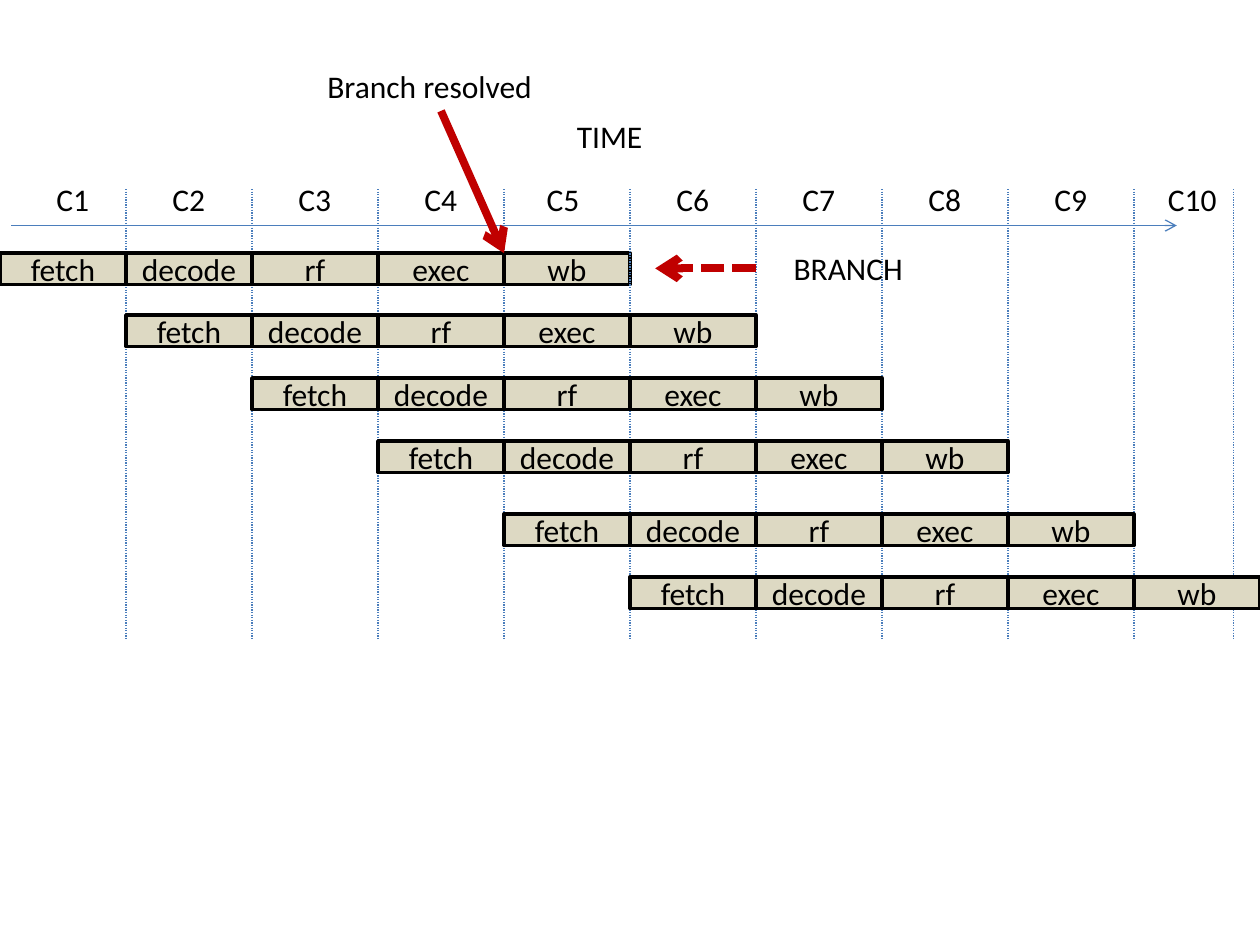
from dataclasses import dataclass

from pptx import Presentation
from pptx.dml.color import RGBColor
from pptx.enum.dml import MSO_LINE
from pptx.enum.shapes import MSO_CONNECTOR, MSO_SHAPE
from pptx.enum.text import MSO_ANCHOR, MSO_AUTO_SIZE, PP_ALIGN
from pptx.oxml.ns import qn
from pptx.util import Inches, Pt
from lxml.etree import SubElement


@dataclass(frozen=True)
class Theme:
    font: str = "Calibri"
    text_size: float = 18
    ink: str = "000000"
    stage_fill: str = "DDD9C3"
    guide: str = "4B7EBC"
    accent: str = "C00000"
    thin: float = 0.75
    border: float = 2
    thick: float = 4.5


class PipelineSlide:
    def __init__(self, slide, theme):
        self.slide = slide
        self.theme = theme

    def set_words(self, frame, words):
        frame.text = words
        font = frame.paragraphs[0].runs[0].font
        font.name = self.theme.font
        font.size = Pt(self.theme.text_size)
        font.color.rgb = RGBColor.from_string(self.theme.ink)

    def label(self, words, left, top, width, height=0.4):
        box = self.slide.shapes.add_textbox(
            Inches(left), Inches(top), Inches(width), Inches(height))
        self.set_words(box.text_frame, words)
        box.text_frame.word_wrap = False
        box.text_frame.auto_size = MSO_AUTO_SIZE.SHAPE_TO_FIT_TEXT

    def stage(self, words, left, top, width=1, height=0.25):
        cell = self.slide.shapes.add_shape(
            MSO_SHAPE.RECTANGLE,
            Inches(left), Inches(top), Inches(width), Inches(height))
        cell.shadow.inherit = False
        cell.fill.solid()
        cell.fill.fore_color.rgb = RGBColor.from_string(self.theme.stage_fill)
        cell.line.color.rgb = RGBColor.from_string(self.theme.ink)
        cell.line.width = Pt(self.theme.border)
        self.set_words(cell.text_frame, words)
        cell.text_frame.vertical_anchor = MSO_ANCHOR.MIDDLE
        cell.text_frame.paragraphs[0].alignment = PP_ALIGN.CENTER

    def instruction(self, first_cycle, top):
        for offset, name in enumerate(STAGES):
            self.stage(name, first_cycle + offset, top)

    def line(self, start, end, color, weight, dash=None, arrow=False):
        connector = self.slide.shapes.add_connector(
            MSO_CONNECTOR.STRAIGHT, *map(Inches, start + end))
        connector.line.color.rgb = RGBColor.from_string(color)
        connector.line.width = Pt(weight)
        if dash:
            connector.line.dash_style = dash
        properties = connector._element.spPr
        if arrow:
            SubElement(properties.find(qn("a:ln")), qn("a:tailEnd"), type="arrow")
        SubElement(properties, qn("a:effectLst"))

    def cycle_guide(self, x):
        self.line((x, 1.5), (x, 5.08), self.theme.guide, self.theme.thin,
                  dash=MSO_LINE.ROUND_DOT)


STAGES = ("fetch", "decode", "rf", "exec", "wb")
BRANCH_TOP = 2.01
FOLLOWING_TOPS = (2.5, 3, 3.5, 4.08, 4.58)
CYCLE_LEFTS = (0.35, 1.27, 2.27, 3.27, 4.24, 5.27, 6.27, 7.27, 8.27, 9.17)


def main():
    deck = Presentation()
    deck.slide_width = Inches(10)
    deck.slide_height = Inches(7.5)
    theme = Theme()
    pipeline = PipelineSlide(deck.slides.add_slide(deck.slide_layouts[6]), theme)

    pipeline.line((0.09, 1.79), (9.34, 1.79), theme.guide, theme.thin, arrow=True)
    pipeline.label("TIME", 4.48, 0.88, 0.73)

    for x in (1, 2, 3, 4, 9.79):
        pipeline.cycle_guide(x)
    pipeline.instruction(0, BRANCH_TOP)
    for x in range(5, 10):
        pipeline.cycle_guide(x)
    for first_cycle, top in enumerate(FOLLOWING_TOPS, start=1):
        pipeline.instruction(first_cycle, top)

    for cycle, left in enumerate(CYCLE_LEFTS, start=1):
        pipeline.label(f"C{cycle}", left, 1.38, 0.59 if cycle == 10 else 0.46)

    pipeline.label("BRANCH", 6.2, 1.93, 1.08)
    pipeline.line((6, 2.13), (5.2, 2.13), theme.accent, theme.thick,
                  dash=MSO_LINE.SQUARE_DOT, arrow=True)
    pipeline.label("Branch resolved", 2.5, 0.48, 1.84)
    pipeline.line((3.5, 0.88), (4, BRANCH_TOP), theme.accent, theme.thick, arrow=True)

    deck.save("out.pptx")


if __name__ == "__main__":
    main()
